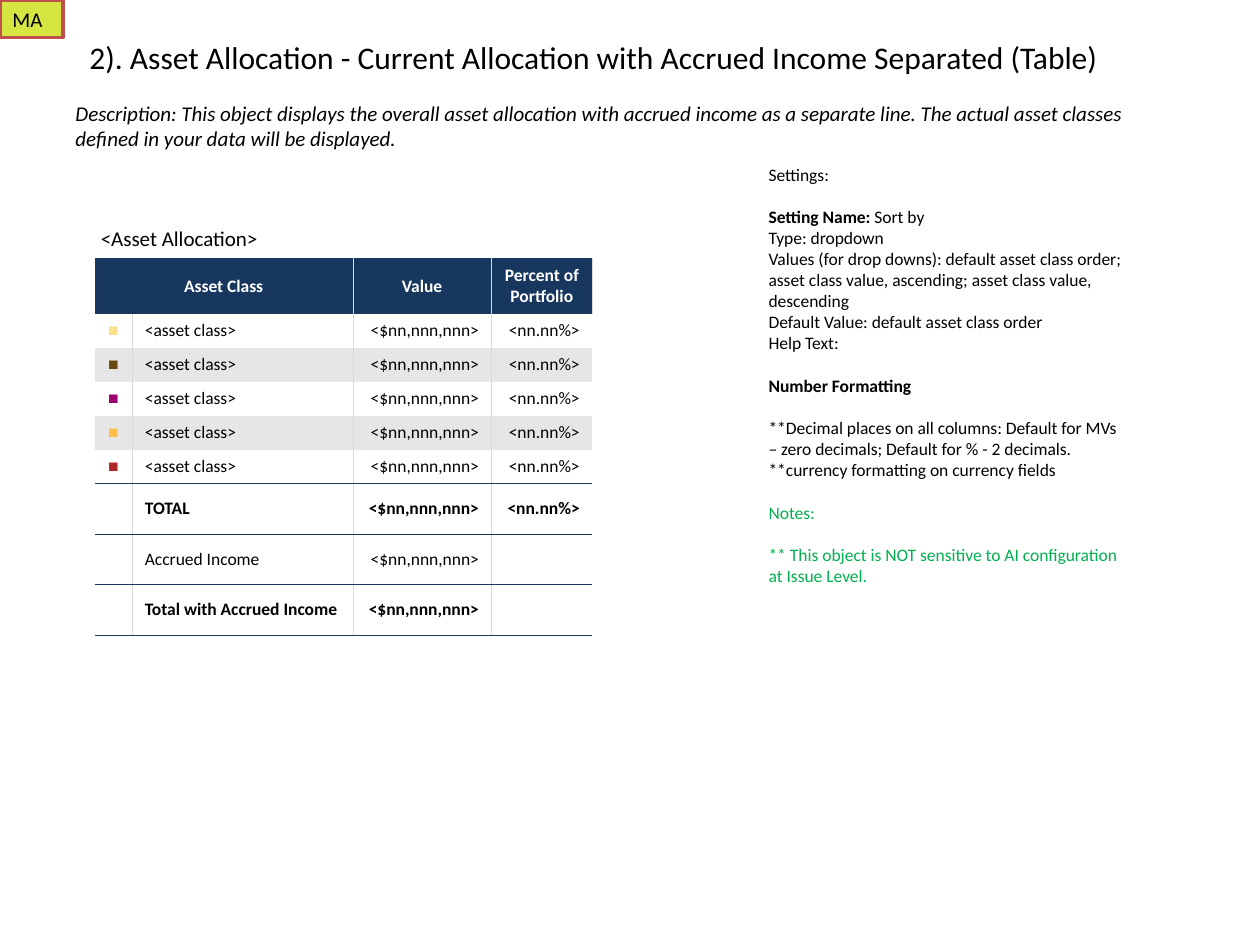
from lxml import etree
from pptx import Presentation
from pptx.dml.color import RGBColor
from pptx.enum.shapes import MSO_SHAPE
from pptx.enum.text import MSO_ANCHOR, MSO_AUTO_SIZE, PP_ALIGN
from pptx.oxml.ns import qn
from pptx.util import Inches, Pt

LEFT, CENTER, RIGHT = PP_ALIGN.LEFT, PP_ALIGN.CENTER, PP_ALIGN.RIGHT
TOP, MIDDLE, BOTTOM = MSO_ANCHOR.TOP, MSO_ANCHOR.MIDDLE, MSO_ANCHOR.BOTTOM
FIT = MSO_AUTO_SIZE.SHAPE_TO_FIT_TEXT
RECT = MSO_SHAPE.RECTANGLE
PLAIN = "{2D5ABB26-0587-4C30-8999-92F81FD0307C}"  # table style without grid

UNIT = Inches(0.25)  # the slide is a grid of 40 columns by 30 rows

THEME = {
    "font": "Calibri", "mark": "Arial",
    "head": 18, "lead": 12, "body": 10, "gap": 12.2,
    "ink": "000000", "white": "FFFFFF", "navy": "17375E", "band": "E6E6E6",
    "rule": "D9D9D9", "note": "00B050", "tag": "D6E542", "edge": "C0504D",
}


def write(par, text, size="body", color=THEME["ink"], font="font",
          bold=False, italic=False, align=LEFT, gap=0):
    """Add a run to a paragraph and format both."""
    par.alignment = align
    par.space_before, par.space_after = Pt(gap), Pt(0)
    run = par.add_run()
    run.text = text
    run.font.name = THEME[font]
    run.font.size = Pt(THEME[size])
    run.font.bold, run.font.italic = bold, italic
    run.font.color.rgb = RGBColor.from_string(color)


def place(shape, left, top, width, height, anchor=TOP, wrap=True):
    """Set a shape on the grid and return its text frame."""
    shape.left, shape.top = round(left * UNIT), round(top * UNIT)
    shape.width, shape.height = round(width * UNIT), round(height * UNIT)
    frame = shape.text_frame
    frame.vertical_anchor, frame.word_wrap = anchor, wrap
    frame.auto_size = FIT
    return frame


deck = Presentation()
deck.slide_width, deck.slide_height = 40 * UNIT, 30 * UNIT
slide = deck.slides.add_slide(deck.slide_layouts[1])
shapes = slide.shapes

# Title
frame = place(shapes.title, 2.44, 1, 33, 1.6, wrap=False)
write(frame.paragraphs[0],
      "2). Asset Allocation - Current Allocation with Accrued Income "
      "Separated (Table)", size="head")

# Description
frame = place(shapes.add_textbox(0, 0, UNIT, UNIT), 2, 3, 35, 2, anchor=MIDDLE)
write(frame.paragraphs[0],
      "Description: This object displays the overall asset allocation with "
      "accrued income as a separate line. The actual asset classes defined "
      "in your data will be displayed.", size="lead", italic=True)

# Settings: gap before, then text and format of each run
gap = THEME["gap"]
strong, green = {"bold": True}, {"color": THEME["note"]}
lines = [
    (0, [("Settings:", {})]),
    (gap, [("Setting Name:", strong), (" Sort by", {})]),
    (0, [("Type: dropdown", {})]),
    (0, [("Values (for drop downs): default asset class order; asset class "
          "value, ascending; asset class value, descending", {})]),
    (0, [("Default Value: default asset class order", {})]),
    (0, [("Help Text:", {})]),
    (gap, [("Number Formatting", strong)]),
    (gap, [("**Decimal places on all columns: Default for MVs – zero "
            "decimals; Default for % - 2 decimals.", {})]),
    (0, [("**currency formatting on currency fields", {})]),
    (gap, [("Notes:", green)]),
    (gap, [("** This object is NOT sensitive to AI configuration at Issue "
            "Level.", green)]),
]
frame = place(slide.placeholders[1], 24, 5, 12, 16.44)
for i, (space, runs) in enumerate(lines):
    par = frame.add_paragraph() if i else frame.paragraphs[0]
    props = par._p.get_or_add_pPr()
    props.set("marL", "0")
    props.set("indent", "0")
    etree.SubElement(props, qn("a:buNone"))
    for text, style in runs:
        write(par, text, gap=space, **style)

# Table content: caption, header, classes, totals
value, share = "<$nn,nnn,nnn>", "<nn.nn%>"
marks = ["F9E08C", "6B4714", "9B0070", "FCBF49", "AF2626"]
rows = [["<Asset Allocation>", "", "", ""],
        ["Asset Class", "", "Value", "Percent of Portfolio"]]
rows += [["■", "<asset class>", value, share] for _ in marks]
rows += [["", "TOTAL", value, share],
         ["", "Accrued Income", value, ""],
         ["", "Total with Accrued Income", value, ""]]
bold_rows = (1, 7, 9)
ruled = (6, 8, 9)  # rows with a navy line below

# Table grid
wide = [1.2, 7, 4.4, 3.2]
tall = [1.2, 1.76] + [1.08] * 8
frame = shapes.add_table(len(rows), len(wide), 3 * UNIT, 7 * UNIT,
                         round(sum(wide) * UNIT), round(sum(tall) * UNIT))
table = frame.table
table.first_row = table.horz_banding = False
table._tbl.tblPr.find(qn("a:tableStyleId")).text = PLAIN
for col, size in zip(table.columns, wide):
    col.width = round(size * UNIT)
for row, size in zip(table.rows, tall):
    row.height = round(size * UNIT)
table.cell(0, 0).merge(table.cell(0, 3))
table.cell(1, 0).merge(table.cell(1, 1))

# Table cells
for r, row in enumerate(rows):
    for c, text in enumerate(row):
        cell = table.cell(r, c)
        if cell.is_spanned:
            continue
        cell.vertical_anchor = MIDDLE
        par = cell.text_frame.paragraphs[0]
        if r == 0:
            cell.vertical_anchor = BOTTOM
            cell.margin_left = Inches(0.05)
            write(par, text, size="lead")
            continue

        # Borders
        sides = {"lnL": c > 0 and "rule", "lnR": c < 3 and "rule",
                 "lnT": r - 1 in ruled and "navy", "lnB": r in ruled and "navy"}
        for side, name in sides.items():
            if name:
                line = etree.SubElement(cell._tc.get_or_add_tcPr(),
                                        qn("a:" + side), w=str(Pt(0.23)))
                paint = etree.SubElement(line, qn("a:solidFill"))
                etree.SubElement(paint, qn("a:srgbClr"), val=THEME[name])

        # Fill and text
        fill = "navy" if r == 1 else "band" if r in (3, 5) else "white"
        cell.fill.solid()
        cell.fill.fore_color.rgb = RGBColor.from_string(THEME[fill])
        if not text:
            continue
        if r == 1:
            write(par, text, color=THEME["white"], bold=True, align=CENTER)
        elif c == 0:
            write(par, text, color=marks[r - 2], font="mark", align=CENTER)
        else:
            write(par, text, bold=r in bold_rows,
                  align=LEFT if c == 1 else RIGHT)

# Corner tag
tag = shapes.add_shape(RECT, 0, 0, UNIT, UNIT)
tag.shadow.inherit = False
tag.fill.solid()
tag.fill.fore_color.rgb = RGBColor.from_string(THEME["tag"])
tag.line.color.rgb = RGBColor.from_string(THEME["edge"])
tag.line.width = Pt(2)
frame = place(tag, 0, 0, 2, 1.2)
write(frame.paragraphs[0], "MA", size="lead")

deck.save("out.pptx")
